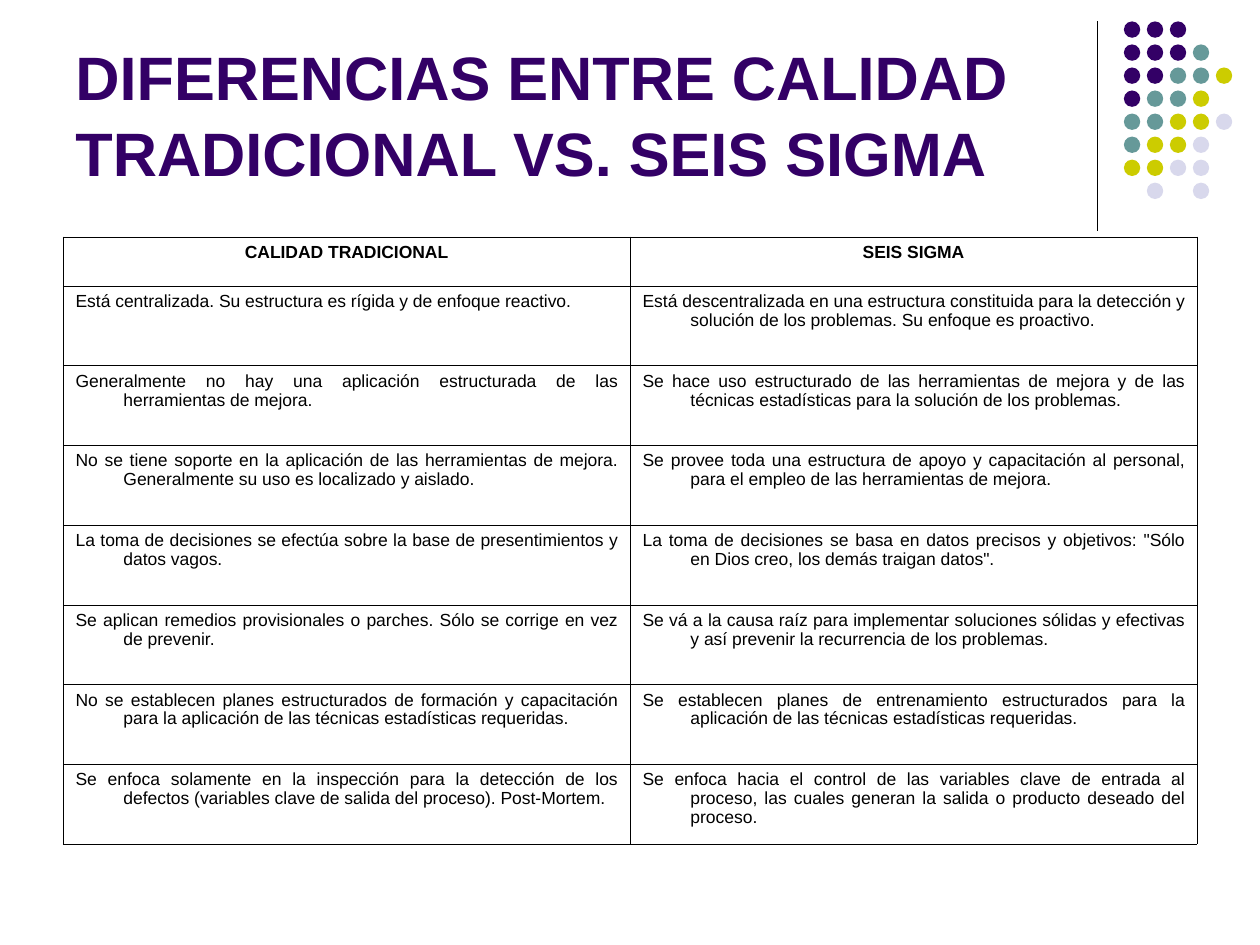
from dataclasses import dataclass

from lxml.etree import SubElement
from pptx import Presentation
from pptx.dml.color import RGBColor as RGB
from pptx.enum.shapes import MSO_CONNECTOR as Connector, MSO_SHAPE as Shape
from pptx.enum.text import MSO_ANCHOR as Anchor, PP_ALIGN as Align
from pptx.oxml.ns import qn
from pptx.util import Inches, Pt


@dataclass(frozen=True)
class Theme:
    font: str = "Arial"
    purple: str = "330066"
    teal: str = "669999"
    lime: str = "CCCC00"
    lavender: str = "D8D8EC"
    black: str = "000000"
    title_size: float = 35
    table_size: float = 10
    rule_width: float = 0.75
    border_width: float = 0.34


THEME = Theme()

TITLE = "DIFERENCIAS ENTRE CALIDAD TRADICIONAL VS. SEIS SIGMA"
HEADINGS = ("CALIDAD TRADICIONAL", "SEIS SIGMA")
DIFFERENCES = [
    ("Está centralizada. Su estructura es rígida y de enfoque reactivo.",
     "Está descentralizada en una estructura constituida para la detección y "
     "solución de los problemas. Su enfoque es proactivo."),
    ("Generalmente no hay una aplicación estructurada de las herramientas de mejora.",
     "Se hace uso estructurado de las herramientas de mejora y de las técnicas "
     "estadísticas para la solución de los problemas."),
    ("No se tiene soporte en la aplicación de las herramientas de mejora. "
     "Generalmente su uso es localizado y aislado.",
     "Se provee toda una estructura de apoyo y capacitación al personal, para el "
     "empleo de las herramientas de mejora."),
    ("La toma de decisiones se efectúa sobre la base de presentimientos y datos vagos.",
     "La toma de decisiones se basa en datos precisos y objetivos: \"Sólo en Dios "
     "creo, los demás traigan datos\"."),
    ("Se aplican remedios provisionales o parches. Sólo se corrige en vez de prevenir.",
     "Se vá a la causa raíz para implementar soluciones sólidas y efectivas y así "
     "prevenir la recurrencia de los problemas."),
    ("No se establecen planes estructurados de formación y capacitación para la "
     "aplicación de las técnicas estadísticas requeridas.",
     "Se establecen planes de entrenamiento estructurados para la aplicación de las "
     "técnicas estadísticas requeridas."),
    ("Se enfoca solamente en la inspección para la detección de los defectos "
     "(variables clave de salida del proceso). Post-Mortem.",
     "Se enfoca hacia el control de las variables clave de entrada al proceso, las "
     "cuales generan la salida o producto deseado del proceso."),
]

# One letter per dot; a full stop leaves its place empty.
DOT_ROWS = ("PPP..", "PPPT.", "PPTTL", "PTTL.", "TTLLV", "TLLV.", "LLVV.", ".V.V.")
DOT_COLORS = {"P": THEME.purple, "T": THEME.teal, "L": THEME.lime, "V": THEME.lavender}


def set_all(target, values):
    for name, value in values.items():
        setattr(target, name, value)


def write(paragraph, text, size, color, bold, spacing, align):
    set_all(paragraph, {"alignment": align, "line_spacing": spacing})
    run = paragraph.add_run()
    run.text = text
    set_all(run.font, {"name": THEME.font, "size": Pt(size), "bold": bold})
    run.font.color.rgb = RGB.from_string(color)


def add_rule(slide, left, top, height):
    rule = slide.shapes.add_connector(Connector.STRAIGHT, left, top, left, top + height)
    rule.line.color.rgb = RGB.from_string(THEME.black)
    rule.line.width = Pt(THEME.rule_width)
    SubElement(rule._element.spPr, qn("a:effectLst"))


def add_dots(slide, left, top, width, height):
    size = Inches(0.13)
    step_x = (width - size) / (len(DOT_ROWS[0]) - 1)
    step_y = (height - size) / (len(DOT_ROWS) - 1)
    for row, letters in enumerate(DOT_ROWS):
        for column, letter in enumerate(letters):
            if letter not in DOT_COLORS:
                continue
            dot = slide.shapes.add_shape(
                Shape.OVAL, round(left + column * step_x), round(top + row * step_y),
                size, size)
            dot.shadow.inherit = False
            dot.fill.solid()
            dot.fill.fore_color.rgb = RGB.from_string(DOT_COLORS[letter])
            dot.line.fill.background()


def add_title(slide, left, top, width, height):
    frame = slide.shapes.add_textbox(left, top, width, height).text_frame
    set_all(frame, {"word_wrap": True, "vertical_anchor": Anchor.BOTTOM})
    write(frame.paragraphs[0], TITLE, THEME.title_size, THEME.purple, True, 1.04, Align.LEFT)


def add_borders(cell):
    properties = cell._tc.get_or_add_tcPr()
    for side in ("lnL", "lnR", "lnT", "lnB"):
        border = SubElement(properties, qn(f"a:{side}"), w=str(Pt(THEME.border_width)))
        fill = SubElement(border, qn("a:solidFill"))
        SubElement(fill, qn("a:srgbClr"), val=THEME.black)


def fill_cell(cell, text, heading):
    add_borders(cell)
    cell.fill.background()
    paragraph = cell.text_frame.paragraphs[0]
    indent = Inches(0.38)
    properties = paragraph._p.get_or_add_pPr()
    properties.set("marL", str(indent))
    properties.set("indent", str(-indent))
    write(paragraph, text, THEME.table_size, THEME.black, heading, 0.97,
          Align.CENTER if heading else Align.JUSTIFY)


def add_comparison(slide, left, top, width, height):
    rows = [HEADINGS, *DIFFERENCES]
    table = slide.shapes.add_table(
        len(rows), len(HEADINGS), left, top, width, height).table
    set_all(table, {"first_row": False, "horz_banding": False})
    heading_height = Inches(0.39)
    row_height = round((height - heading_height) / len(DIFFERENCES))
    for index, texts in enumerate(rows):
        heading = index == 0
        table.rows[index].height = heading_height if heading else row_height
        for column, text in enumerate(texts):
            fill_cell(table.cell(index, column), text, heading)


def main():
    deck = Presentation()
    set_all(deck, {"slide_width": Inches(10), "slide_height": Inches(7.5)})
    slide = deck.slides.add_slide(deck.slide_layouts[6])
    add_rule(slide, Inches(8.71), Inches(0.17), Inches(1.66))
    add_dots(slide, Inches(8.92), Inches(0.17), Inches(0.86), Inches(1.41))
    add_title(slide, Inches(0.5), Inches(0.13), Inches(8.25), Inches(1.42))
    add_comparison(slide, Inches(0.5), Inches(1.88), Inches(9), Inches(4.82))
    deck.save("out.pptx")


if __name__ == "__main__":
    main()
